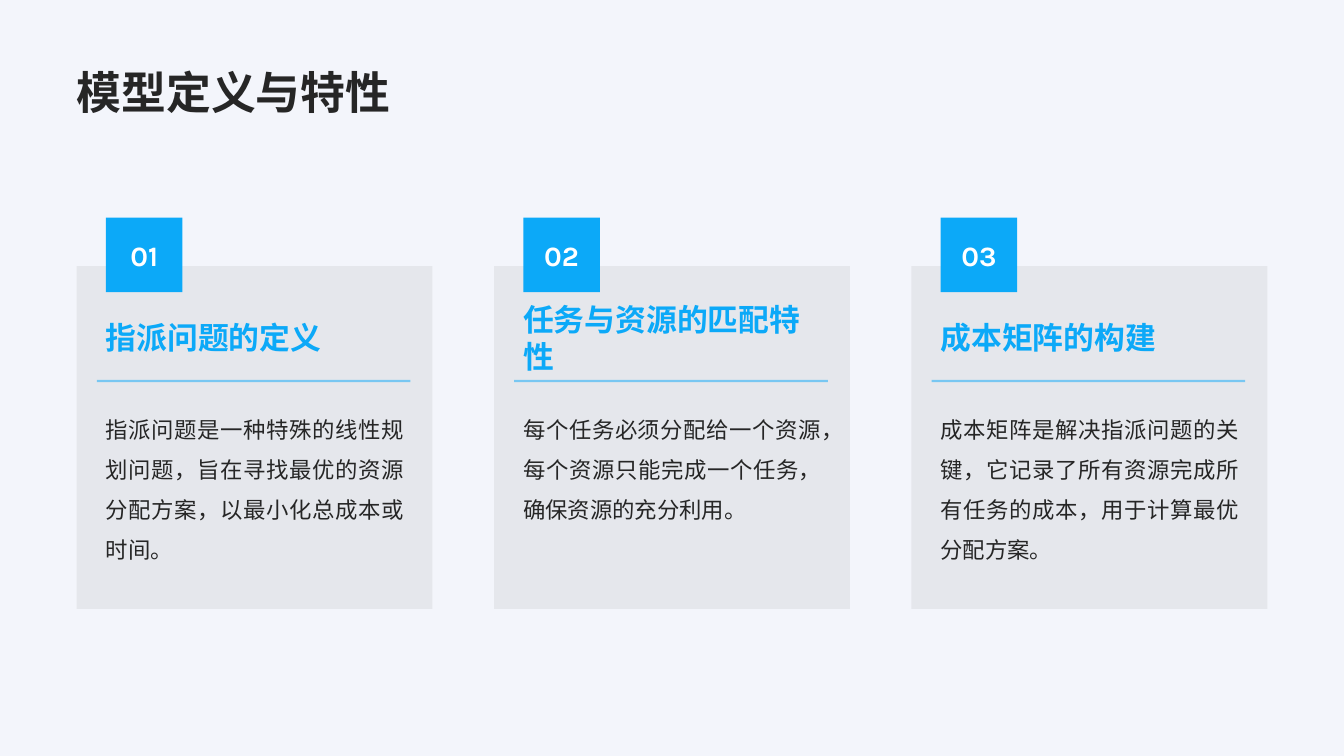
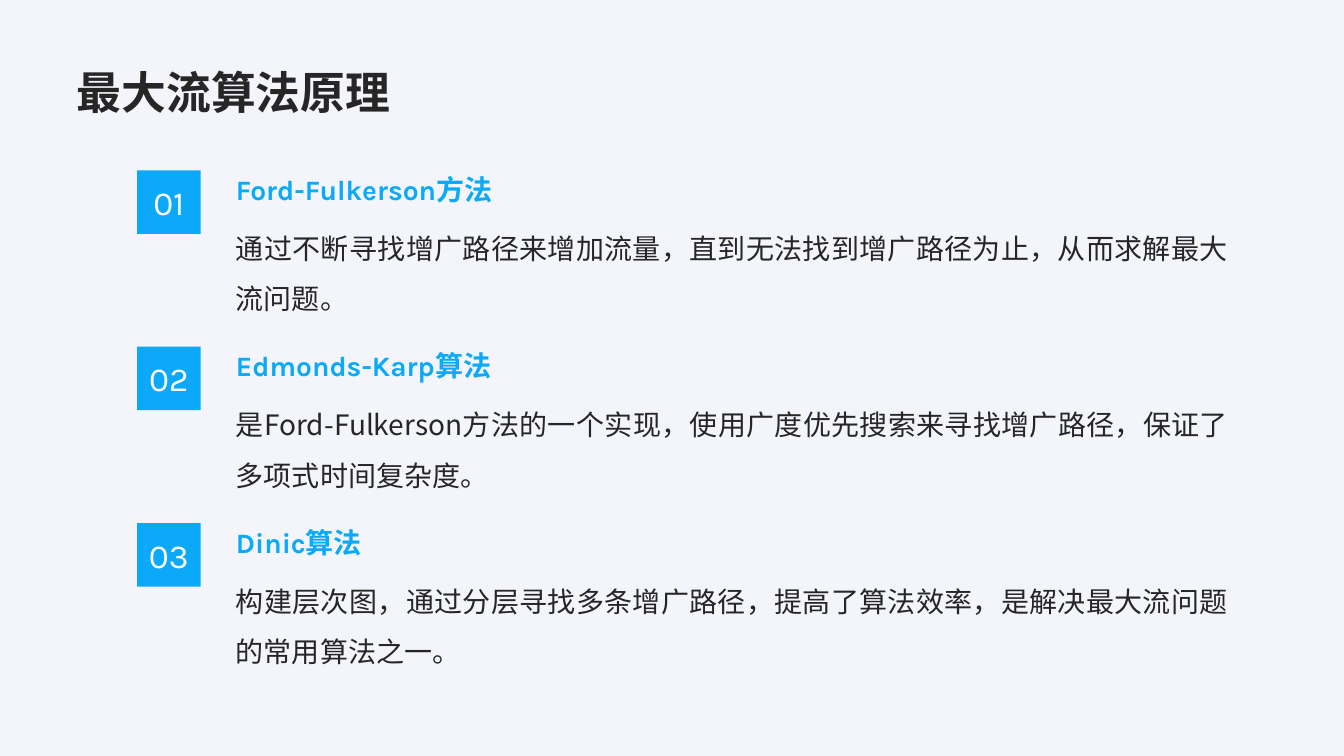
from dataclasses import dataclass

from lxml.etree import SubElement
from pptx import Presentation
from pptx.dml.color import RGBColor
from pptx.enum.dml import MSO_LINE
from pptx.enum.shapes import MSO_CONNECTOR, MSO_SHAPE
from pptx.enum.text import MSO_ANCHOR, MSO_AUTO_SIZE, PP_ALIGN
from pptx.oxml.ns import qn
from pptx.presentation import Presentation as Deck
from pptx.shapes.autoshape import Shape
from pptx.slide import Slide
from pptx.text.text import TextFrame
from pptx.util import Emu, Pt

EMU_PER_PX = 9144
BACKGROUND = "F3F5FB"
ACCENT = "0CA9F8"
INK = "262626"
WHITE = "FFFFFF"
CARD_GREY = "999999"
LATIN_FONT = "Karla"
CHINESE_FONT = "Noto Sans CJK SC"
TITLE_FONT = "Noto Sans CJK JP"


@dataclass(frozen=True)
class Box:
    left: int
    top: int
    width: int
    height: int


@dataclass(frozen=True)
class Topic:
    heading: str
    body: str


TITLE_BOX = Box(76, 39, 1181, 79)

MODEL_TOPICS = [
    Topic("指派问题的定义", "指派问题是一种特殊的线性规划问题，旨在寻找最优的资源分配方案，以最小化总成本或时间。"),
    Topic("任务与资源的匹配特性", "每个任务必须分配给一个资源，每个资源只能完成一个任务，确保资源的充分利用。"),
    Topic("成本矩阵的构建", "成本矩阵是解决指派问题的关键，它记录了所有资源完成所有任务的成本，用于计算最优分配方案。"),
]

FLOW_TOPICS = [
    Topic("Ford-Fulkerson方法", "通过不断寻找增广路径来增加流量，直到无法找到增广路径为止，从而求解最大流问题。"),
    Topic("Edmonds-Karp算法", "是Ford-Fulkerson方法的一个实现，使用广度优先搜索来寻找增广路径，保证了多项式时间复杂度。"),
    Topic("Dinic算法", "构建层次图，通过分层寻找多条增广路径，提高了算法效率，是解决最大流问题的常用算法之一。"),
]


def px(length: int) -> Emu:
    return Emu(length * EMU_PER_PX)


def color(value: str) -> RGBColor:
    return RGBColor.from_string(value)


def frame_of(box: Box) -> tuple[Emu, Emu, Emu, Emu]:
    return px(box.left), px(box.top), px(box.width), px(box.height)


def set_alpha(fill_parent, percent: int) -> None:
    for color_element in fill_parent.iter(qn("a:srgbClr")):
        SubElement(color_element, qn("a:alpha"), val=str(percent * 1000))


def write_text(
    text_frame: TextFrame,
    text: str,
    *,
    size: int,
    text_color: str = INK,
    bold: bool = False,
    font: str = LATIN_FONT,
    chinese_font: str = CHINESE_FONT,
    align: PP_ALIGN = PP_ALIGN.LEFT,
    anchor: MSO_ANCHOR = MSO_ANCHOR.TOP,
    line_height: float = 1.2,
) -> None:
    text_frame.auto_size = MSO_AUTO_SIZE.NONE
    text_frame.word_wrap = True
    text_frame.vertical_anchor = anchor
    text_frame.margin_left = text_frame.margin_right = 0
    text_frame.margin_top = text_frame.margin_bottom = 0
    paragraph = text_frame.paragraphs[0]
    paragraph.alignment = align
    paragraph.line_spacing = Pt(size * line_height)
    paragraph._p.get_or_add_pPr().set("hangingPunct", "1")
    run = paragraph.add_run()
    run.text = text
    run.font.size = Pt(size)
    run.font.bold = bold
    run.font.color.rgb = color(text_color)
    run.font.name = font
    SubElement(run._r.get_or_add_rPr(), qn("a:ea"), typeface=chinese_font)


def add_text(slide: Slide, box: Box, text: str, **text_format) -> None:
    write_text(slide.shapes.add_textbox(*frame_of(box)).text_frame, text, **text_format)


def add_panel(slide: Slide, box: Box, fill_color: str) -> Shape:
    shape = slide.shapes.add_shape(MSO_SHAPE.RECTANGLE, *frame_of(box))
    shape.shadow.inherit = False
    shape.fill.solid()
    shape.fill.fore_color.rgb = color(fill_color)
    shape.line.fill.background()
    return shape


def add_badge(slide: Slide, box: Box, number: int, size: int, bold: bool) -> None:
    badge = add_panel(slide, box, ACCENT)
    write_text(
        badge.text_frame, f"{number:02d}", size=size, bold=bold, text_color=WHITE,
        align=PP_ALIGN.CENTER, anchor=MSO_ANCHOR.MIDDLE,
    )


def add_divider(slide: Slide, left: int, top: int, width: int) -> None:
    divider = slide.shapes.add_connector(
        MSO_CONNECTOR.STRAIGHT, px(left), px(top), px(left + width), px(top)
    )
    divider.line.color.rgb = color(ACCENT)
    divider.line.width = Pt(1.75)
    divider.line.dash_style = MSO_LINE.SOLID
    properties = divider._element.spPr
    set_alpha(properties, 50)
    SubElement(properties, qn("a:effectLst"))


def add_titled_slide(presentation: Deck, title: str) -> Slide:
    slide = presentation.slides.add_slide(presentation.slide_layouts[5])
    placeholder = slide.shapes.title
    placeholder.left, placeholder.top, placeholder.width, placeholder.height = frame_of(TITLE_BOX)
    write_text(
        placeholder.text_frame, title, size=32, bold=True,
        font=TITLE_FONT, chinese_font=TITLE_FONT, anchor=MSO_ANCHOR.BOTTOM,
    )
    return slide


def add_card(slide: Slide, index: int, topic: Topic) -> None:
    left = TITLE_BOX.left + index * 414
    content_left = left + 29
    card = add_panel(slide, Box(left, 264, 353, 340), CARD_GREY)
    set_alpha(card._element.spPr, 15)
    add_text(
        slide, Box(content_left, 399, 296, 176), topic.body,
        size=16, align=PP_ALIGN.JUSTIFY, line_height=1.8,
    )
    add_badge(slide, Box(content_left, 216, 76, 74), index + 1, size=20, bold=True)
    add_text(
        slide, Box(content_left, 311, 296, 48), topic.heading,
        size=22, bold=True, text_color=ACCENT, anchor=MSO_ANCHOR.MIDDLE,
    )
    add_divider(slide, left + 20, 378, 311)


def add_method(slide: Slide, index: int, topic: Topic) -> None:
    top = 162 + index * 175
    add_text(
        slide, Box(234, top + 51, 984, 115), topic.body,
        size=20, font=CHINESE_FONT, align=PP_ALIGN.JUSTIFY, line_height=1.8,
    )
    add_text(
        slide, Box(234, top, 984, 51), topic.heading, size=20, bold=True,
        text_color=ACCENT, align=PP_ALIGN.JUSTIFY, anchor=MSO_ANCHOR.MIDDLE,
    )
    add_badge(slide, Box(136, top + 7, 63, 63), index + 1, size=24, bold=False)


def main() -> None:
    presentation = Presentation()
    presentation.slide_width, presentation.slide_height = px(1333), px(750)
    background = presentation.slide_master.background.fill
    background.solid()
    background.fore_color.rgb = color(BACKGROUND)

    model_slide = add_titled_slide(presentation, "模型定义与特性")
    for index, topic in enumerate(MODEL_TOPICS):
        add_card(model_slide, index, topic)

    flow_slide = add_titled_slide(presentation, "最大流算法原理")
    for index, topic in enumerate(FLOW_TOPICS):
        add_method(flow_slide, index, topic)

    presentation.save("out.pptx")


if __name__ == "__main__":
    main()
